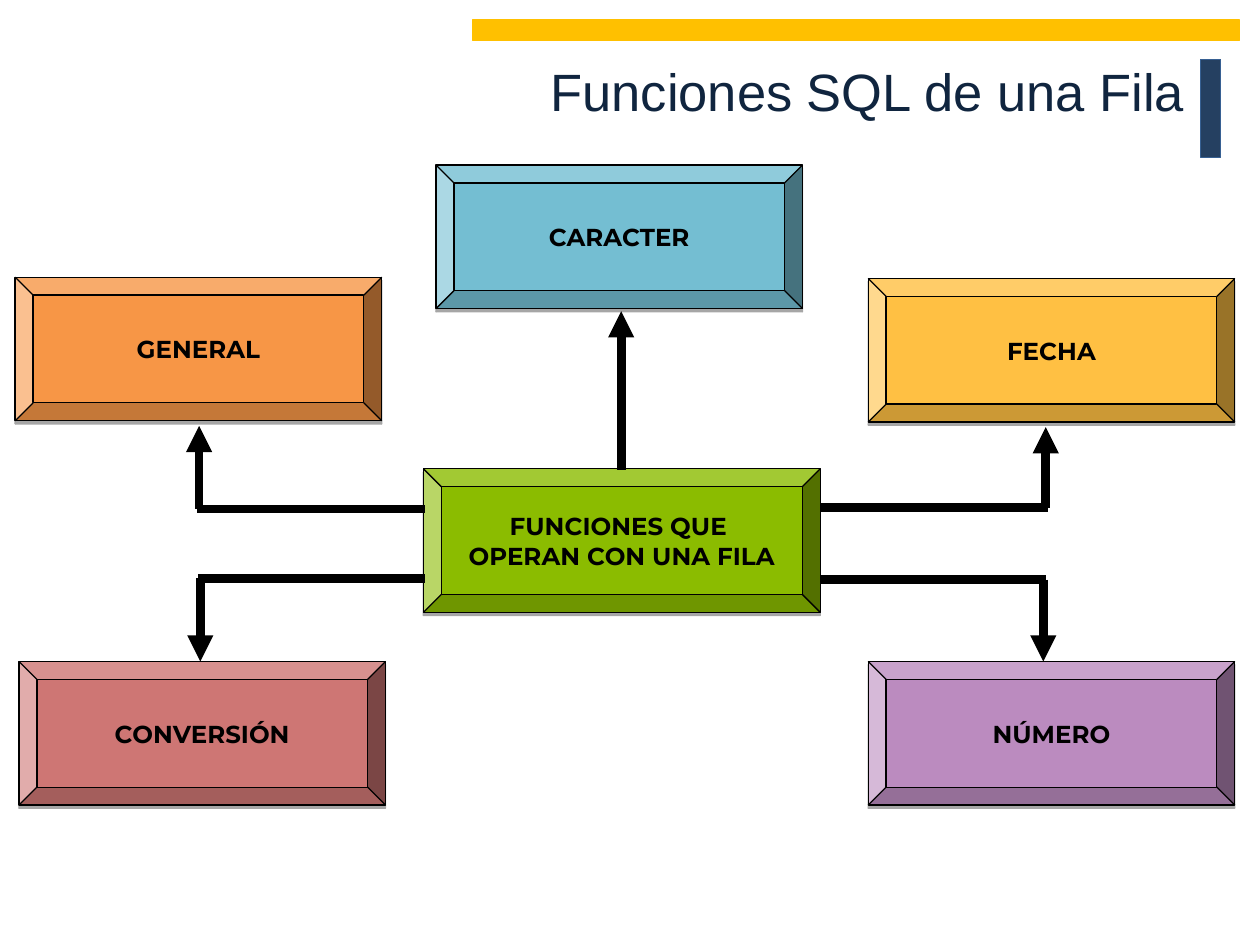
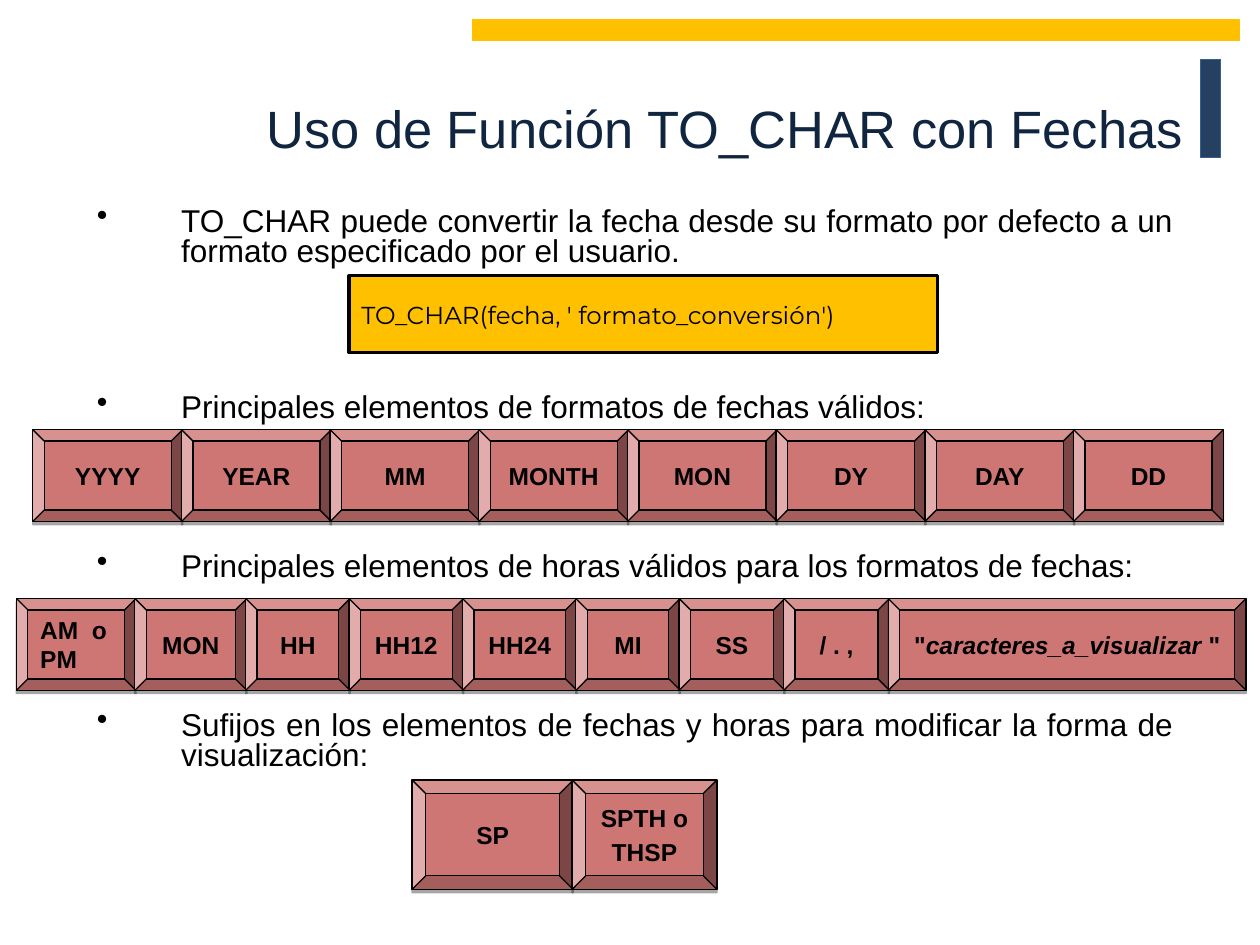
import pptx
import pptx.dml.color
import pptx.enum.shapes
import pptx.enum.text
import pptx.oxml.ns
import pptx.util
from lxml import etree

Inches, Pt = pptx.util.Inches, pptx.util.Pt
SHAPE = pptx.enum.shapes.MSO_SHAPE
ALIGN = pptx.enum.text.PP_ALIGN
MIDDLE = pptx.enum.text.MSO_ANCHOR.MIDDLE
qn = pptx.oxml.ns.qn

COLORS = {
    "navy": "254061", "navy_edge": "376092", "title": "10253F",
    "gold": "FFC000", "black": "000000", "orange": "F79646",
    "blue": "74BED2", "yellow": "FFC043", "red": "CE7674",
    "green": "8BBC00", "purple": "BB8BBF",
}
HEADING_FONT, DIAGRAM_FONT = "Arial", "Montserrat"


def rgb(name):
    return pptx.dml.color.RGBColor.from_string(COLORS[name])


# Text
def add_run(paragraph, text, size, font, color="black", bold=False, italic=False):
    run = paragraph.add_run()
    run.text = text
    run.font.size = Pt(size)
    run.font.name = font
    run.font.bold = bold
    run.font.italic = italic
    run.font.color.rgb = rgb(color)


def next_paragraph(frame, index):
    return frame.add_paragraph() if index else frame.paragraphs[0]


def add_title(slide, text, left, top, width, height):
    frame = slide.shapes.add_textbox(
        Inches(left), Inches(top), Inches(width), Inches(height)).text_frame
    frame.word_wrap = True
    frame.vertical_anchor = MIDDLE
    frame.paragraphs[0].alignment = ALIGN.RIGHT
    add_run(frame.paragraphs[0], text, 30, HEADING_FONT, "title")


def add_bullets(slide, items, left, top, width, height):
    """Each item is its text and the space before it in points."""
    frame = slide.shapes.add_textbox(
        Inches(left), Inches(top), Inches(width), Inches(height)).text_frame
    frame.word_wrap = True
    for index, (text, space_before) in enumerate(items):
        paragraph = next_paragraph(frame, index)
        paragraph.alignment = ALIGN.JUSTIFY
        paragraph.line_spacing = 0.8
        paragraph.space_before = Pt(space_before)
        add_run(paragraph, text, 18, HEADING_FONT)
        properties = paragraph._p.get_or_add_pPr()
        properties.set("marL", str(Inches(0.67)))
        properties.set("indent", str(-Inches(0.67)))
        etree.SubElement(properties, qn("a:buChar"), char="•")


# Shapes
def add_box(slide, kind, left, top, width, height, fill, edge="black", edge_width=0.75):
    box = slide.shapes.add_shape(
        kind, Inches(left), Inches(top), Inches(width), Inches(height))
    box.shadow.inherit = False
    box.fill.solid()
    box.fill.fore_color.rgb = rgb(fill)
    box.line.color.rgb = rgb(edge)
    box.line.width = Pt(edge_width)
    box.text_frame.word_wrap = True
    box.text_frame.vertical_anchor = MIDDLE
    return box


def add_button(slide, lines, left, top, width, height, fill, font,
               align=ALIGN.CENTER, space_before=0):
    """Bevelled box; each line is a list of (text, italic) pieces."""
    button = add_box(slide, SHAPE.BEVEL, left, top, width, height, fill)
    effects = button._element.spPr.find(qn("a:effectLst"))
    shadow = etree.SubElement(effects, qn("a:outerShdw"), blurRad="0",
                              dist=str(Pt(1.8)), dir="5400000", rotWithShape="0")
    shade = etree.SubElement(shadow, qn("a:srgbClr"), val=COLORS["black"])
    etree.SubElement(shade, qn("a:alpha"), val="35000")
    for index, pieces in enumerate(lines):
        paragraph = next_paragraph(button.text_frame, index)
        paragraph.alignment = align
        paragraph.space_before = Pt(space_before)
        for text, italic in pieces:
            add_run(paragraph, text, 14, font, bold=True, italic=italic)


def add_button_row(slide, buttons, left, top, height):
    """Each button is its lines, its step to the next one and its alignment."""
    for lines, step, align in buttons:
        add_button(slide, lines, left, top, step + 0.01, height, "red",
                   HEADING_FONT, align, space_before=3)
        left += step


def plain(*lines):
    return [[(line, False)] for line in lines]


def add_line(slide, start, end, arrow=False):
    line = slide.shapes.add_connector(
        pptx.enum.shapes.MSO_CONNECTOR.STRAIGHT,
        Inches(start[0]), Inches(start[1]), Inches(end[0]), Inches(end[1]))
    line.line.color.rgb = rgb("black")
    line.line.width = Pt(5)
    if arrow:
        etree.SubElement(line.line._get_or_add_ln(), qn("a:tailEnd"), type="triangle")
    etree.SubElement(line._element.spPr, qn("a:effectLst"))


def add_elbow_arrow(slide, hub_x, y, target_x, target_y):
    overrun = 0.02 if target_x > hub_x else -0.02
    add_line(slide, (hub_x, y), (target_x + overrun, y))
    add_line(slide, (target_x, y), (target_x, target_y), arrow=True)


# Slides
def new_slide(deck):
    slide = deck.slides.add_slide(deck.slide_layouts[6])
    add_box(slide, SHAPE.RECTANGLE, 9.53, 0.47, 0.16, 0.78, "navy", "navy_edge")
    add_box(slide, SHAPE.RECTANGLE, 3.75, 0.16, 6.09, 0.16, "gold", "gold")
    return slide


def build_function_map(deck):
    slide = new_slide(deck)
    add_title(slide, "Funciones SQL de una Fila", 0.98, 0, 8.52, 1.44)

    # Function families around the hub
    families = [
        ("GENERAL", 0.12, 2.2, "orange"),
        ("CARACTER", 3.46, 1.31, "blue"),
        ("FECHA", 6.89, 2.21, "yellow"),
        ("CONVERSIÓN", 0.15, 5.25, "red"),
        ("NÚMERO", 6.89, 5.25, "purple"),
    ]
    for name, left, top, fill in families:
        add_button(slide, plain(name), left, top, 2.91, 1.14, fill, DIAGRAM_FONT)
    add_button(slide, plain("FUNCIONES QUE ", "OPERAN CON UNA FILA"),
               3.36, 3.72, 3.15, 1.14, "green", DIAGRAM_FONT)

    # Arrows from the hub
    add_line(slide, (4.93, 3.73), (4.93, 2.47), arrow=True)
    add_elbow_arrow(slide, 3.37, 4.04, 1.58, 3.38)
    add_elbow_arrow(slide, 3.37, 4.59, 1.59, 5.25)
    add_elbow_arrow(slide, 6.51, 4.03, 8.3, 3.39)
    add_elbow_arrow(slide, 6.51, 4.6, 8.28, 5.25)


def build_to_char(deck):
    slide = new_slide(deck)
    add_title(slide, "Uso de Función TO_CHAR con Fechas", 0.97, 0.21, 8.52, 1.6)
    add_bullets(slide, [
        ("TO_CHAR puede convertir la fecha desde su formato por defecto "
         "a un formato especificado por el usuario.", 3.6),
        ("Principales elementos de formatos de fechas válidos:", 72),
        ("Principales elementos de horas válidos para los formatos de fechas:", 73.5),
        ("Sufijos en los elementos de fechas y horas para modificar "
         "la forma de visualización:", 73.5),
    ], 0.67, 1.6, 8.74, 4.55)

    # Syntax
    syntax = add_box(slide, SHAPE.RECTANGLE, 2.77, 2.19, 4.67, 0.61, "gold",
                     edge_width=1.75)
    syntax.text_frame.paragraphs[0].alignment = ALIGN.LEFT
    add_run(syntax.text_frame.paragraphs[0], "TO_CHAR(fecha, ' formato_conversión')",
            14, DIAGRAM_FONT)

    # Date elements
    date_elements = ["YYYY", "YEAR", "MM", "MONTH", "MON", "DY", "DAY", "DD"]
    add_button_row(slide, [(plain(name), 1.18, ALIGN.CENTER) for name in date_elements],
                   0.26, 3.41, 0.73)

    # Time elements
    time_elements = [("MON", 0.88), ("HH", 0.82), ("HH12", 0.9), ("HH24", 0.9),
                     ("MI", 0.82), ("SS", 0.83), ("/ . ,", 0.83)]
    literal = [[('"', False), ("caracteres_a_visualizar", True), (' "', False)]]
    add_button_row(
        slide,
        [(plain("AM  o PM"), 0.94, ALIGN.LEFT)]
        + [(plain(name), step, ALIGN.CENTER) for name, step in time_elements]
        + [(literal, 2.83, ALIGN.CENTER)],
        0.13, 4.75, 0.73)

    # Suffixes
    add_button_row(slide, [(plain("SP"), 1.27, ALIGN.CENTER),
                           (plain("SPTH o", "THSP"), 1.14, ALIGN.CENTER)],
                   3.27, 6.19, 0.87)


def main():
    deck = pptx.Presentation()
    deck.slide_width = Inches(10)
    deck.slide_height = Inches(7.5)
    build_function_map(deck)
    build_to_char(deck)
    deck.save("out.pptx")


if __name__ == "__main__":
    main()
